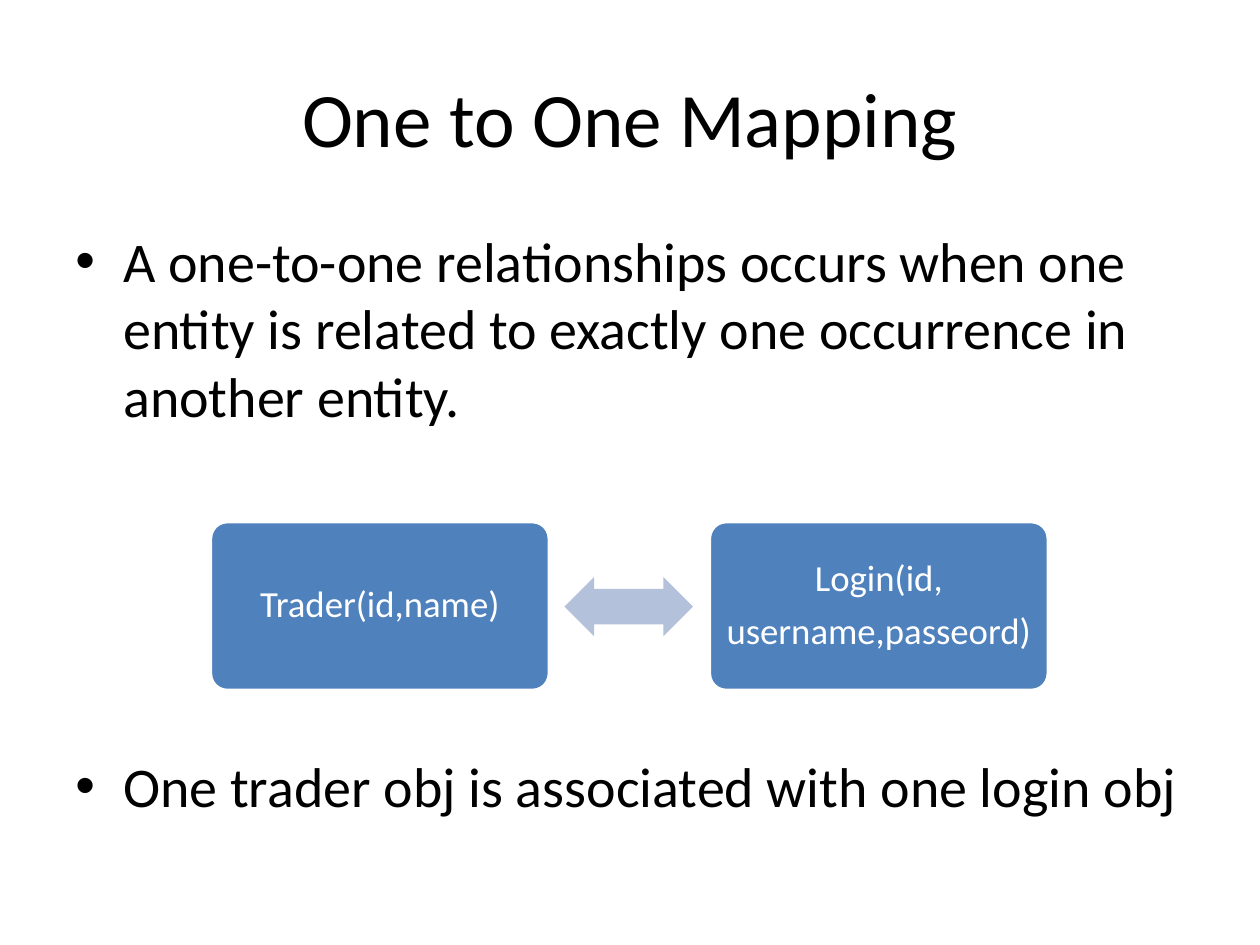
from lxml import etree
from pptx import Presentation
from pptx import util as u
from pptx.dml.color import RGBColor
from pptx.enum import shapes, text
from pptx.oxml.ns import qn


def color(hex_value):
    return RGBColor.from_string(hex_value)


def add_run(paragraph, wording, size, hex_value):
    run = paragraph.add_run()
    run.text = wording
    run.font.name = "Calibri"
    run.font.size = u.Pt(size)
    run.font.color.rgb = color(hex_value)


presentation = Presentation()
presentation.slide_width = u.Inches(10)
presentation.slide_height = u.Inches(7.5)
slide = presentation.slides.add_slide(presentation.slide_layouts[5])

title = slide.shapes.title
title.left, title.top = u.Inches(0.5), u.Inches(0.3)
title.width, title.height = u.Inches(9), u.Inches(1.25)
title.text_frame.vertical_anchor = text.MSO_ANCHOR.MIDDLE
title_paragraph = title.text_frame.paragraphs[0]
title_paragraph.alignment = text.PP_ALIGN.CENTER
add_run(title_paragraph, "One to One Mapping", 44, "000000")

body = slide.shapes.add_textbox(u.Inches(0.5), u.Inches(1.75), u.Inches(9), u.Inches(4.95))
body.text_frame.word_wrap = True
bullets = [
    ("A one-to-one relationships occurs when one entity is related to exactly "
     "one occurrence in another entity.", 0),
    ("One trader obj is associated with one login obj", 184.5),
]
for index, (wording, space_before) in enumerate(bullets):
    paragraph = body.text_frame.paragraphs[0] if index == 0 else body.text_frame.add_paragraph()
    paragraph.space_before = u.Pt(space_before)
    properties = paragraph._p.get_or_add_pPr()
    properties.set("marL", str(u.Inches(0.38)))
    properties.set("indent", str(u.Inches(-0.38)))
    etree.SubElement(properties, qn("a:buFont")).set("typeface", "Arial")
    etree.SubElement(properties, qn("a:buChar")).set("char", "•")
    add_run(paragraph, wording, 32, "000000")

entities = [
    (1.67, ["Trader(id,name)"]),
    (5.63, ["Login(id,", "username,passeord)"]),
]
for left, lines in entities:
    entity = slide.shapes.add_shape(
        shapes.MSO_SHAPE.ROUNDED_RECTANGLE,
        u.Inches(left), u.Inches(4.14), u.Inches(2.69), u.Inches(1.34))
    entity.adjustments[0] = 0.1
    entity.shadow.inherit = False
    entity.fill.solid()
    entity.fill.fore_color.rgb = color("4F81BD")
    entity.line.color.rgb = color("FFFFFF")
    entity.line.width = u.Pt(2)
    frame = entity.text_frame
    frame.word_wrap = True
    frame.vertical_anchor = text.MSO_ANCHOR.MIDDLE
    frame.margin_left = frame.margin_right = u.Inches(0.09)
    frame.margin_top = frame.margin_bottom = u.Inches(0.09)
    for index, line in enumerate(lines):
        paragraph = frame.paragraphs[0] if index == 0 else frame.add_paragraph()
        paragraph.alignment = text.PP_ALIGN.CENTER
        paragraph.line_spacing = 0.9
        paragraph.space_after = u.Pt(7.35)
        add_run(paragraph, line, 21, "FFFFFF")

arrow = slide.shapes.add_shape(
    shapes.MSO_SHAPE.LEFT_RIGHT_ARROW,
    u.Inches(4.48), u.Inches(4.58), u.Inches(1.02), u.Inches(0.47))
arrow.adjustments[0] = 0.6
arrow.adjustments[1] = 0.5
arrow.shadow.inherit = False
arrow.fill.solid()
arrow.fill.fore_color.rgb = color("B3C1DB")
arrow.line.fill.background()

presentation.save("out.pptx")
